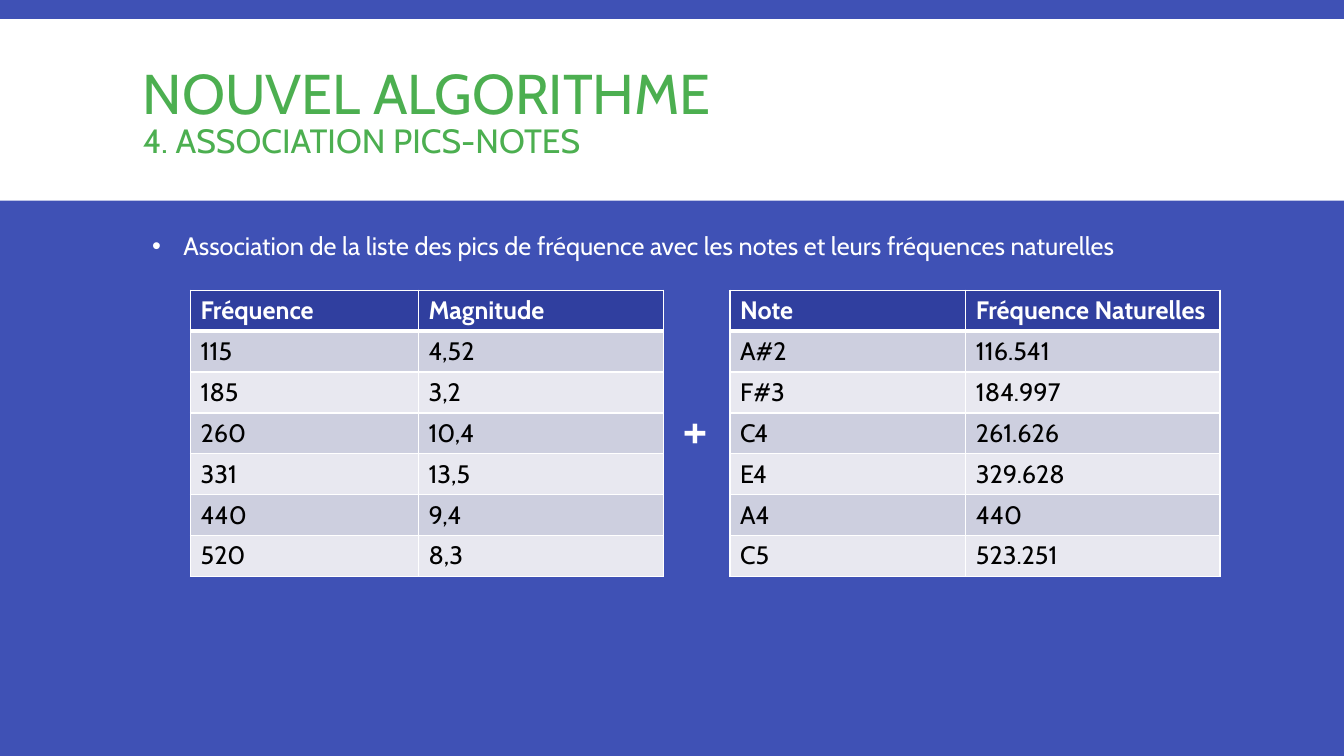
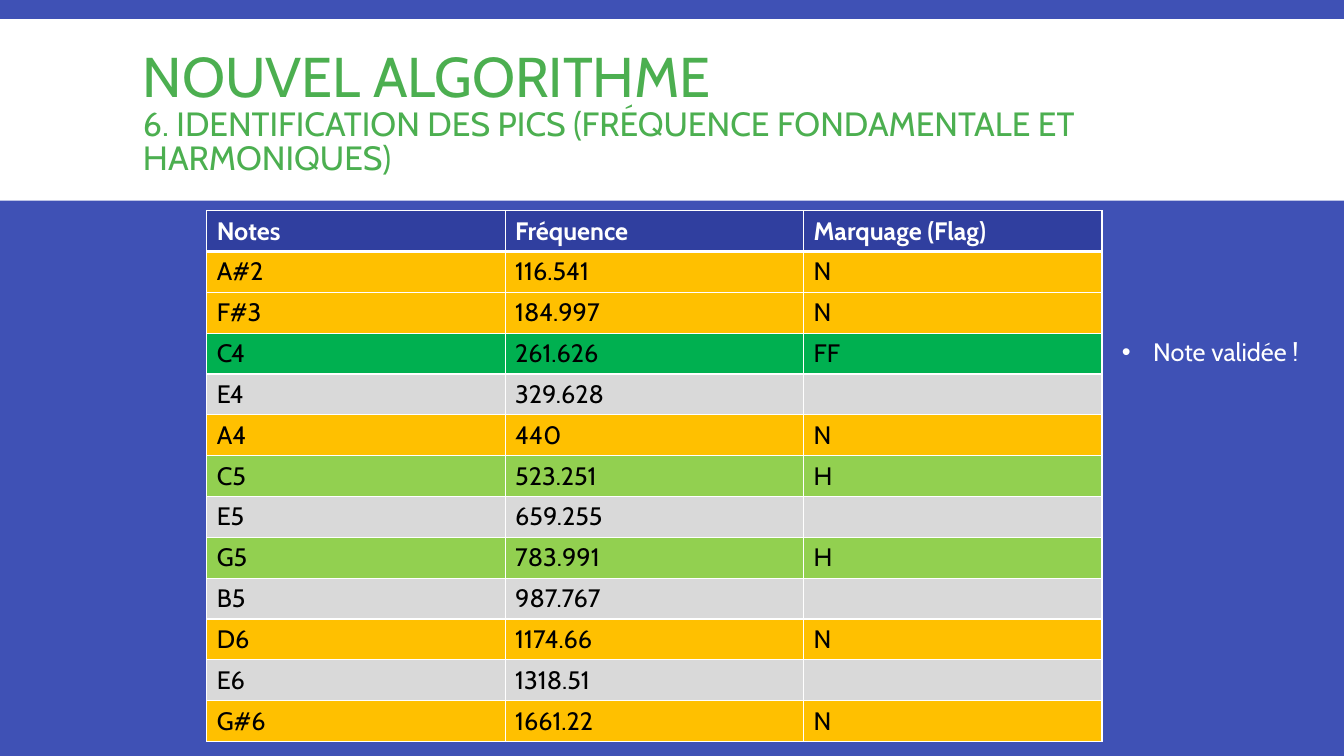
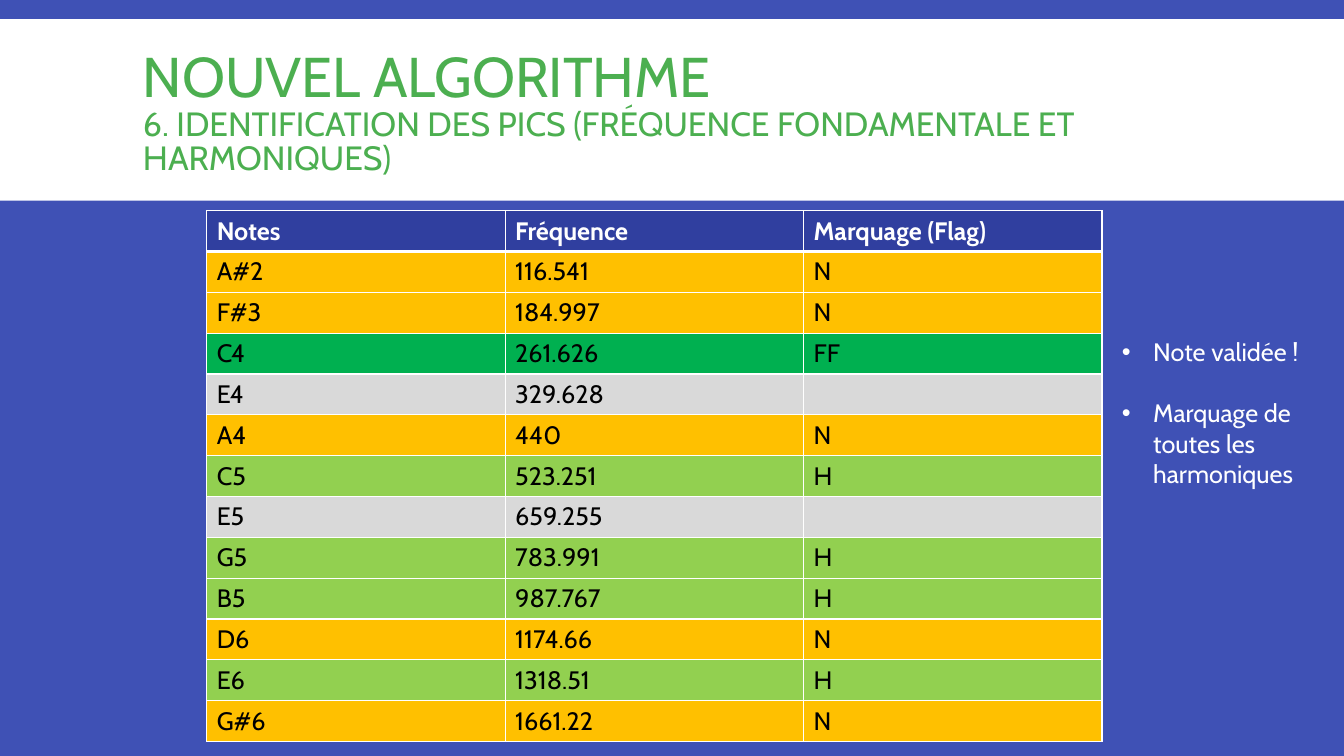
from lxml import etree
from pptx import Presentation
from pptx.dml.color import RGBColor
from pptx.enum.shapes import MSO_SHAPE
from pptx.enum.text import MSO_ANCHOR
from pptx.oxml.ns import qn
from pptx.util import Inches, Pt

COLORS = {name: RGBColor.from_string(value) for name, value in {
    "background": "3F51B5",
    "band": "FFFFFF",
    "title": "4CAF50",
    "light": "FFFFFF",
    "dark": "000000",
    "header": "303F9F",
    "odd": "CDCFDF",
    "even": "E8E8F0",
    "noise": "FFC000",
    "fundamental": "00B050",
    "harmonic": "92D050",
    "unmarked": "D9D9D9",
}.items()}
MARK_FILLS = {"N": "noise", "FF": "fundamental", "H": "harmonic", "": "unmarked"}

TITLE = {"size": Pt(40)}
SUBTITLE = {"size": Pt(24)}
BODY = {"size": Pt(18)}
HEADER = {"size": Pt(18), "bold": True}

PEAKS = [("115", "4,52"), ("185", "3,2"), ("260", "10,4"),
         ("331", "13,5"), ("440", "9,4"), ("520", "8,3")]
NOTES = [("A#2", "116.541"), ("F#3", "184.997"), ("C4", "261.626"),
         ("E4", "329.628"), ("A4", "440"), ("C5", "523.251"),
         ("E5", "659.255"), ("G5", "783.991"), ("B5", "987.767"),
         ("D6", "1174.66"), ("E6", "1318.51"), ("G#6", "1661.22")]
BANDED = ["odd", "even"] * 3
IDENTIFICATION = "6. IDENTIFICATION DES PICS (FRÉQUENCE FONDAMENTALE ET HARMONIQUES)"


def write_span(para, text, color, style):
    span = para.add_run()
    span.text = text
    span.font.name = "Cabin"
    span.font.color.rgb = COLORS[color]
    for name, value in style.items():
        setattr(span.font, name, value)


def add_grid(page, left, top, height, widths, rows, fills):
    """Draw a white-ruled table; fills names one colour per row below the header."""
    frame = page.shapes.add_table(len(rows), len(widths), Inches(left), Inches(top),
                                  Inches(sum(widths)), Inches(height))
    table = frame.table
    for column, width in zip(table.columns, widths):
        column.width = Inches(width)
    for row_index, (values, fill) in enumerate(zip(rows, ["header"] + fills)):
        is_header = row_index == 0
        rules = {"lnL": 1, "lnR": 1,
                 "lnT": 3 if row_index == 1 else 1,
                 "lnB": 3 if is_header else 1}
        for column_index, value in enumerate(values):
            cell = table.cell(row_index, column_index)
            properties = cell._tc.get_or_add_tcPr()
            for side, points in rules.items():
                line = etree.SubElement(properties, qn(f"a:{side}"), w=str(Pt(points)))
                solid = etree.SubElement(line, qn("a:solidFill"))
                etree.SubElement(solid, qn("a:srgbClr"), val=str(COLORS["light"]))
            cell.fill.solid()
            cell.fill.fore_color.rgb = COLORS[fill]
            if value:
                write_span(cell.text_frame.paragraphs[0], value,
                           "light" if is_header else "dark",
                           HEADER if is_header else BODY)


deck = Presentation()
deck.slide_width, deck.slide_height = Inches(13.33), Inches(7.5)
background = deck.slide_master.background.fill
background.solid()
background.fore_color.rgb = COLORS["background"]

# Each page: subtitle, title width, bullet box (left, top, width, height), bullets
PAGES = [
    ("4. ASSOCIATION PICS-NOTES", 10.7, (1.41, 2.24, 10.41, 0.4),
     ["Association de la liste des pics de fréquence avec les notes "
      "et leurs fréquences naturelles"]),
    (IDENTIFICATION, 11.87, (11.03, 3.29, 2.16, 0.4), ["Note validée !"]),
    (IDENTIFICATION, 11.87, (11.03, 3.29, 2.16, 1.62),
     ["Note validée !", "Marquage de toutes les harmoniques"]),
]

for subtitle, title_width, bullet_place, bullets in PAGES:
    page = deck.slides.add_slide(deck.slide_layouts[6])
    band = page.shapes.add_shape(MSO_SHAPE.RECTANGLE, 0, Inches(0.19),
                                 deck.slide_width, Inches(1.8))
    band.shadow.inherit = False
    band.fill.solid()
    band.fill.fore_color.rgb = COLORS["band"]
    band.line.fill.background()

    title_box = page.shapes.add_textbox(Inches(1.32), Inches(0.31),
                                        Inches(title_width), Inches(1.65))
    title_box.text_frame.word_wrap = True
    title_box.text_frame.vertical_anchor = MSO_ANCHOR.MIDDLE
    title = title_box.text_frame.paragraphs[0]
    title.line_spacing = 0.85
    write_span(title, "NOUVEL ALGORITHME", "title", TITLE)
    title.add_line_break()
    write_span(title, subtitle, "title", SUBTITLE)

    bullet_box = page.shapes.add_textbox(*map(Inches, bullet_place))
    bullet_box.text_frame.word_wrap = True
    for index, text in enumerate(bullets):
        if index:
            para = bullet_box.text_frame.add_paragraph()
            para.space_before = Pt(22)
        else:
            para = bullet_box.text_frame.paragraphs[0]
        write_span(para, text, "light", BODY)
        properties = para._p.get_or_add_pPr()
        properties.set("marL", str(Inches(0.31)))
        properties.set("indent", str(Inches(-0.31)))
        etree.SubElement(properties, qn("a:buFont"), typeface="Arial")
        etree.SubElement(properties, qn("a:buChar"), char="•")

association, *identifications = deck.slides

add_grid(association, 1.89, 2.88, 2.84, [2.26, 2.43],
         [("Fréquence", "Magnitude")] + PEAKS, BANDED)
plus_box = association.shapes.add_textbox(Inches(6.67), Inches(3.86),
                                          Inches(0.49), Inches(0.77))
write_span(plus_box.text_frame.paragraphs[0], "+", "light", TITLE)
add_grid(association, 7.24, 2.88, 2.84, [2.34, 2.52],
         [("Note", "Fréquence Naturelles")] + NOTES[:len(PEAKS)], BANDED)

MARKINGS = [
    ["N", "N", "FF", "", "N", "H", "", "H", "", "N", "", "N"],
    ["N", "N", "FF", "", "N", "H", "", "H", "H", "N", "H", "N"],
]
for page, marks in zip(identifications, MARKINGS):
    rows = [(*note, mark) for note, mark in zip(NOTES, marks)]
    add_grid(page, 2.05, 2.09, 5.27, [2.96] * 3,
             [("Notes", "Fréquence", "Marquage (Flag)")] + rows,
             [MARK_FILLS[mark] for mark in marks])

deck.save("out.pptx")
